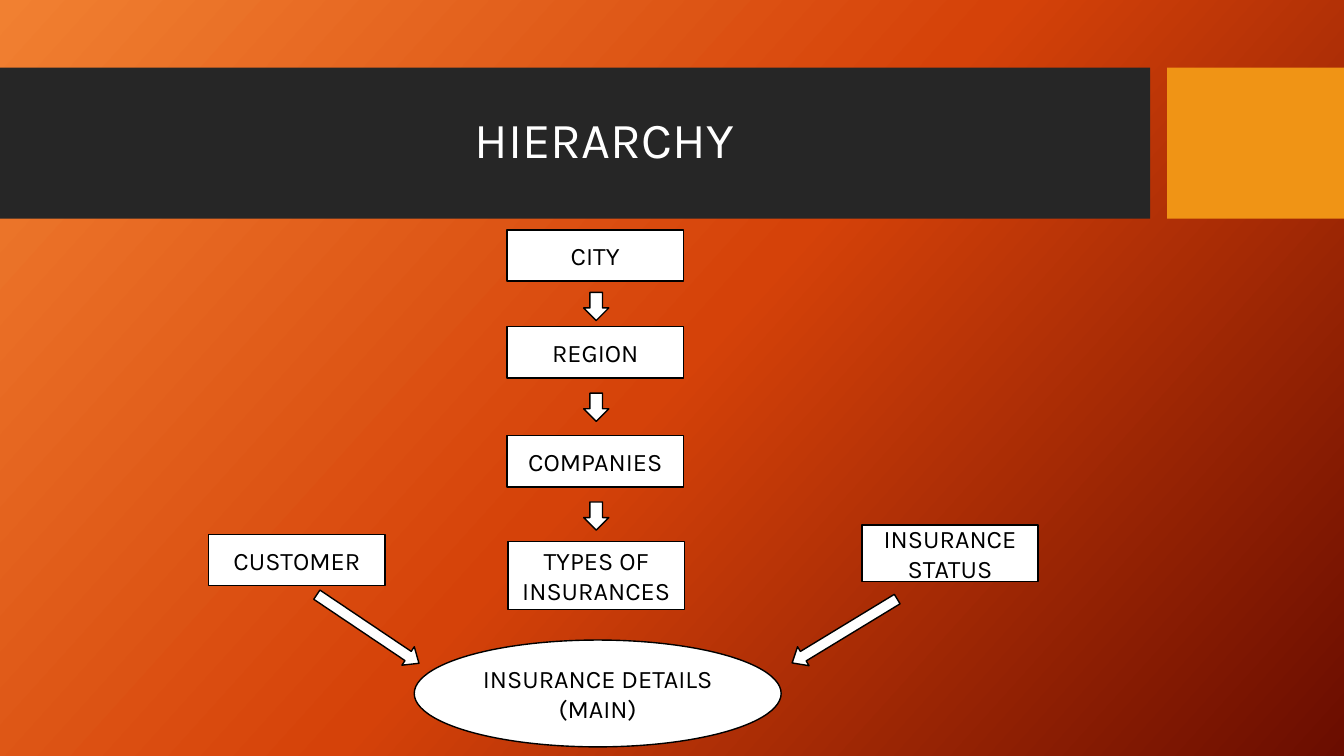
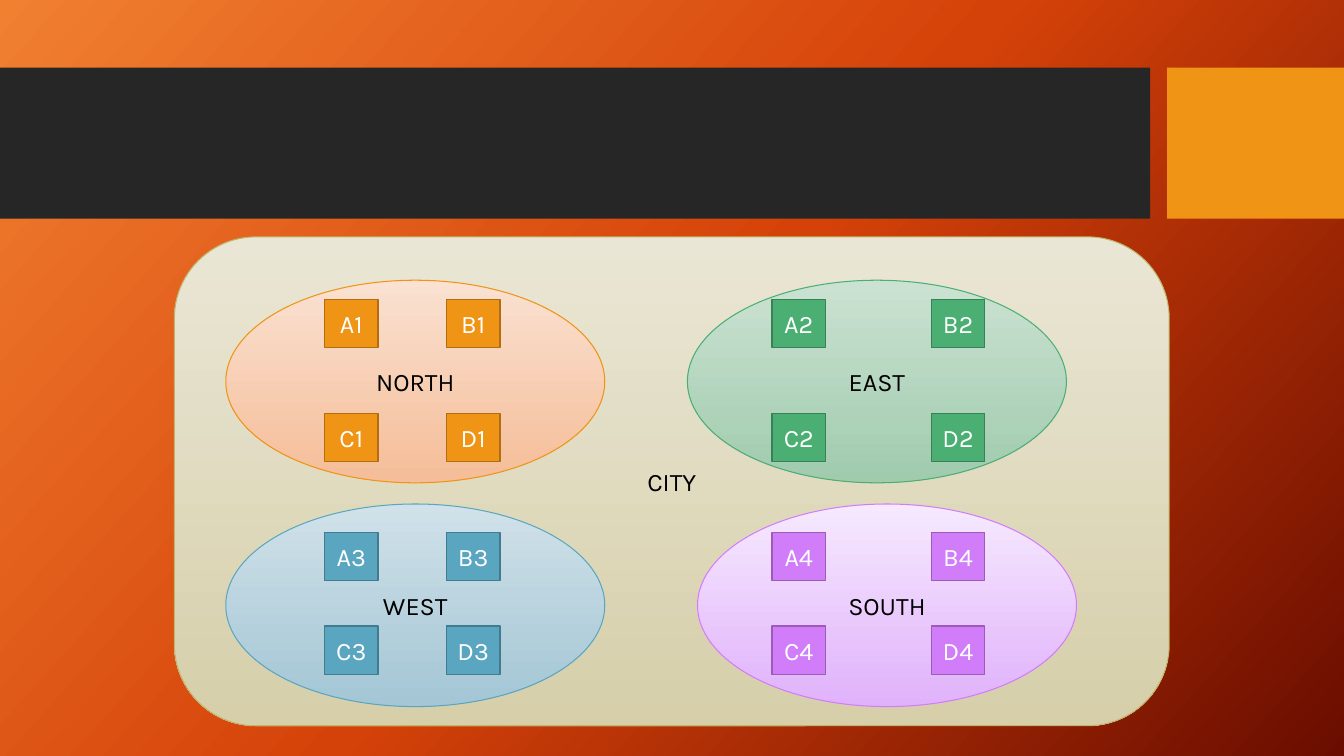
from copy import deepcopy

from pptx import Presentation
from pptx.dml.color import RGBColor
from pptx.enum.shapes import MSO_SHAPE as Preset
from pptx.enum.text import MSO_ANCHOR as Anchor, MSO_AUTO_SIZE as AutoSize, PP_ALIGN as Align
from pptx.util import Pt

FONT = "Karla"
WHITE, BLACK, CHARCOAL, ORANGE = "FFFFFF", "000000", "262626", "F09415"
BACKGROUND = ["F18031", "D54209", "6A0D00"]


def paint(fill, colors, angle=90):
    """Fill with one colour, or with evenly spaced gradient stops at a clockwise angle."""
    if len(colors) == 1:
        fill.solid()
        fill.fore_color.rgb = RGBColor.from_string(colors[0])
        return
    fill.gradient()
    fill.gradient_angle = 360 - angle
    last_stop = fill.gradient_stops[-1]._gs
    for _ in colors[2:]:
        last_stop.addprevious(deepcopy(last_stop))
    for index, (stop, color) in enumerate(zip(fill.gradient_stops, colors)):
        stop.position = index / (len(colors) - 1)
        stop.color.rgb = RGBColor.from_string(color)


def add_block(slide, preset, box, colors, line=None, width=1, text="", text_color=BLACK):
    """Add a filled preset shape with an optional outline and centred text."""
    shape = slide.shapes.add_shape(preset, *[Pt(length) for length in box])
    shape.shadow.inherit = False
    paint(shape.fill, colors)
    if line:
        paint(shape.line.fill, [line])
        shape.line.width = Pt(width)
    else:
        shape.line.fill.background()
    if text:
        shape.text_frame.vertical_anchor = Anchor.MIDDLE
        paragraph = shape.text_frame.paragraphs[0]
        paragraph.alignment = Align.CENTER
        run = paragraph.add_run()
        run.text = text
        run.font.name, run.font.size = FONT, Pt(18)
        run.font.color.rgb = RGBColor.from_string(text_color)
    return shape


presentation = Presentation()
presentation.slide_width, presentation.slide_height = Pt(960), Pt(540)
master = presentation.slide_master
hierarchy = presentation.slides.add_slide(presentation.slide_layouts[5])
city_map = presentation.slides.add_slide(presentation.slide_layouts[6])

# Shared background and bands, kept on the master
paint(master.background.fill, BACKGROUND, angle=42)
for number, (left, width, color) in enumerate([(0, 821.52, CHARCOAL), (833.76, 126.24, ORANGE)]):
    band = add_block(hierarchy, Preset.RECTANGLE, (left, 48.24, width, 108), [color])
    band.name = f"Band {number + 1}"
    band._element.nvSpPr.cNvPr.id = 20 + number
    master.shapes._spTree.insert(2 + number, band._element)

# Hierarchy: title
title = hierarchy.shapes.title
title.left, title.top, title.width, title.height = Pt(53.28), Pt(59.04), Pt(756.72), Pt(84.96)
title.text_frame.auto_size = AutoSize.NONE
title.text_frame.word_wrap = True
title.text_frame.vertical_anchor = Anchor.MIDDLE
heading = title.text_frame.paragraphs[0]
heading.alignment = Align.CENTER
heading.line_spacing = 0.9
run = heading.add_run()
run.text = "HIERARCHY"
run.font.name, run.font.size = FONT, Pt(36)
run.font.color.rgb = RGBColor.from_string(WHITE)

# Hierarchy: levels and their details
levels = [
    ("CITY", 362.16, 164.16, 36.72),
    ("REGION", 362.16, 233.28, 36.72),
    ("COMPANIES", 362.16, 311.04, 36.72),
    ("TYPES OF INSURANCES", 362.88, 386.64, 48.96),
    ("CUSTOMER", 149.04, 381.6, 36.72),
    ("INSURANCE STATUS", 615.6, 375.12, 40.32),
]
for text, left, top, height in levels:
    add_block(hierarchy, Preset.RECTANGLE, (left, top, 126, height), [WHITE], BLACK, text=text)
for top in (208.8, 280.8, 358.56):
    add_block(hierarchy, Preset.DOWN_ARROW, (416.88, top, 18, 20.16), [WHITE], BLACK)
add_block(hierarchy, Preset.OVAL, (295.92, 457.2, 262.08, 76.32), [WHITE], BLACK,
          text="INSURANCE DETAILS (MAIN)")
for left, top, rotation in [(254.88, 405.36, 303.9), (595.44, 406.8, 58.7)]:
    arrow = add_block(hierarchy, Preset.DOWN_ARROW, (left, top, 15.84, 87.84), [WHITE], BLACK)
    arrow.rotation = rotation
    arrow.adjustments[1] = 0.587

# City map: four regions, each with four lettered areas
add_block(city_map, Preset.ROUNDED_RECTANGLE, (124.56, 169.2, 710.64, 349.2),
          ["EAE6D5", "D6CFAA"], "C1B56B", 0.75, "CITY")
west_columns, east_columns = (231.84, 318.96), (551.52, 665.28)
north_rows, south_rows = (213.84, 295.2), (380.16, 447.12)
regions = [
    ("NORTH", 161.28, 200.16, ["FAE1D1", "F5BD98"], ORANGE, "B26D10", west_columns, north_rows),
    ("EAST", 491.04, 200.16, ["CBE2D2", "A0CBAD"], "4BAF73", "378155", east_columns, north_rows),
    ("WEST", 161.28, 360, ["D0E1E9", "A4C6D5"], "5AA6C0", "437B8E", west_columns, south_rows),
    ("SOUTH", 498.24, 360, ["F6E9FE", "E0B2FB"], "D17DF9", "9B5CB8", east_columns, south_rows),
]
for number, (name, left, top, tints, color, edge, columns, rows) in enumerate(regions, 1):
    add_block(city_map, Preset.OVAL, (left, top, 270.72, 144.72), tints, color, 0.75, name)
    for index, letter in enumerate("ABCD"):
        area = (columns[index % 2], rows[index // 2], 38.16, 34.56)
        add_block(city_map, Preset.RECTANGLE, area, [color], edge,
                  text=f"{letter}{number}", text_color=WHITE)

presentation.save("out.pptx")
